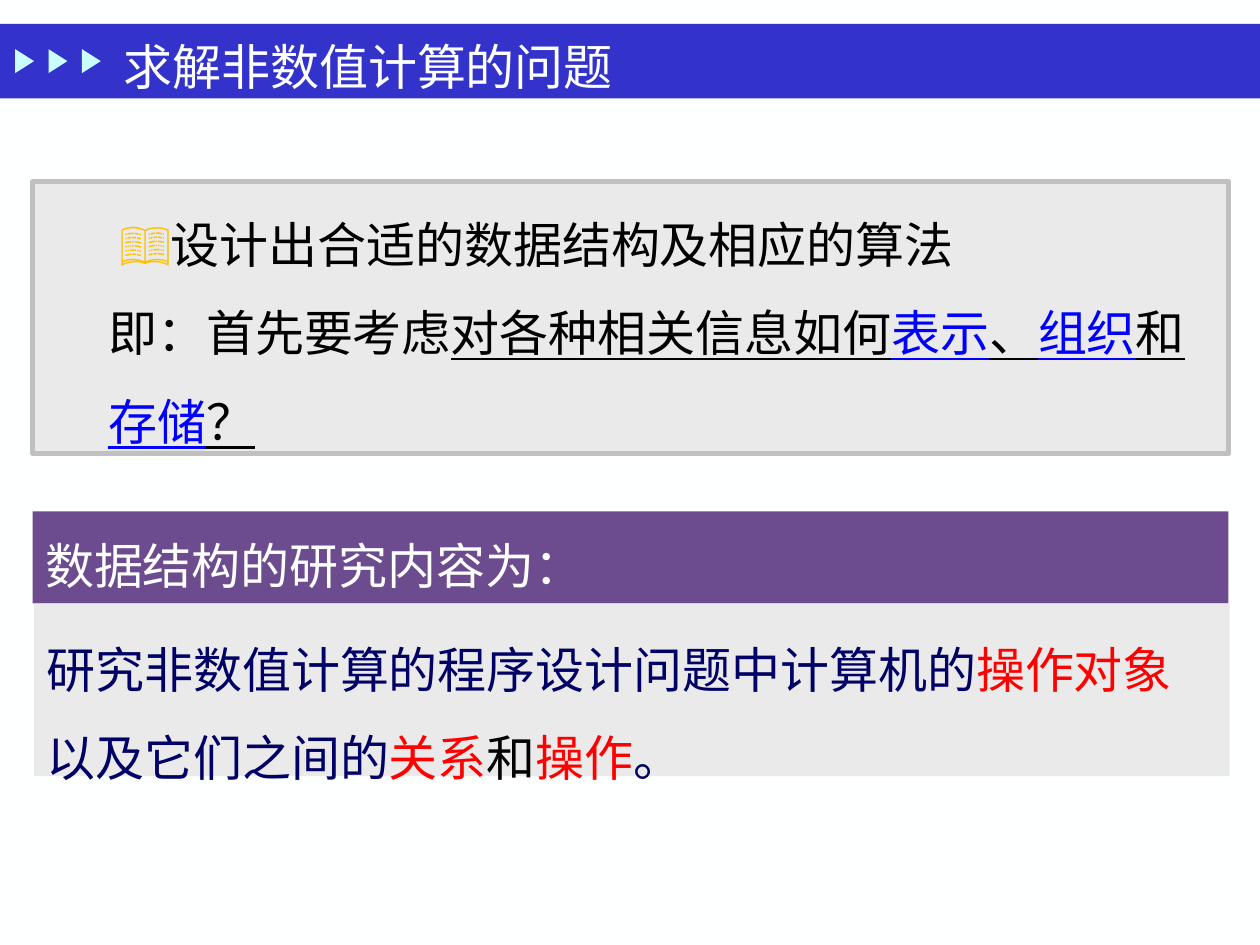
"""Build the slide on solving non-numerical problems with data structures."""
from lxml import etree
from pptx import Presentation
from pptx.dml.color import RGBColor
from pptx.enum.shapes import MSO_SHAPE as SHAPE
from pptx.enum.text import MSO_ANCHOR as ANCHOR, MSO_AUTO_SIZE as AUTO, PP_ALIGN as ALIGN
from pptx.oxml.ns import qn
from pptx.util import Inches, Pt

COLORS = {
    "page": "FEFFFF", "bar": "3333CC", "arrow": "CBFFFF", "panel": "EAEAEA",
    "border": "C0C0C0", "heading": "6C4C8F", "black": "000000", "blue": "0000FF",
    "navy": "000066", "red": "FF0000", "gold": "FFC000",
}


def add_block(kind, left, top, width, height, color):
    block = slide.shapes.add_shape(kind, Inches(left), Inches(top), Inches(width), Inches(height))
    block.shadow.inherit = False
    block.fill.solid()
    block.fill.fore_color.rgb = RGBColor.from_string(COLORS[color])
    block.line.fill.background()
    return block


def write(paragraph, runs, spacing=1.0, margin=0, indent=0, bullet=None):
    properties = paragraph._p.get_or_add_pPr()
    properties.set("marL", str(Inches(margin)))
    properties.set("indent", str(Inches(indent)))
    if bullet:
        bullet_color = etree.SubElement(properties, qn("a:buClr"))
        etree.SubElement(bullet_color, qn("a:srgbClr"), val=COLORS["gold"])
        etree.SubElement(properties, qn("a:buChar"), char=bullet)
    else:
        etree.SubElement(properties, qn("a:buNone"))
    paragraph.alignment = ALIGN.LEFT
    paragraph.line_spacing = spacing
    paragraph.space_before = Pt(0)
    paragraph.font.size = Pt(28)
    paragraph.font.name = "Times New Roman"
    for text, color, underline in runs:
        run = paragraph.add_run()
        run.text = text
        run.font.color.rgb = RGBColor.from_string(COLORS[color])
        if underline:
            run.font.underline = True


deck = Presentation()
deck.slide_width, deck.slide_height = Inches(10), Inches(7.5)
slide = deck.slides.add_slide(deck.slide_layouts[1])
slide.background.fill.solid()
slide.background.fill.fore_color.rgb = RGBColor.from_string(COLORS["page"])

add_block(SHAPE.RECTANGLE, 0, 0.19, 10, 0.59, "bar")
for index in range(3):
    arrow = add_block(SHAPE.ISOSCELES_TRIANGLE, 0.1 + index * 0.265, 0.41, 0.19, 0.15, "arrow")
    arrow.rotation = 90

title, design = slide.placeholders
for placeholder, box in ((title, (0.38, 0.23, 5.5, 0.58)), (design, (0.26, 1.44, 9.49, 2.16))):
    placeholder.left, placeholder.top, placeholder.width, placeholder.height = map(Inches, box)
    placeholder.text_frame.auto_size = AUTO.NONE
    placeholder.text_frame.vertical_anchor = ANCHOR.MIDDLE
    slide.shapes._spTree.append(placeholder._element)

write(title.text_frame.paragraphs[0], [("求解非数值计算的问题", "page", False)], margin=0.5)

design.fill.solid()
design.fill.fore_color.rgb = RGBColor.from_string(COLORS["panel"])
design.line.color.rgb = RGBColor.from_string(COLORS["border"])
design.line.width = Pt(3)
write(design.text_frame.paragraphs[0], [("设计出合适的数据结构及相应的算法", "black", False)],
      spacing=1.5, indent=0.59, bullet="📖")
write(design.text_frame.add_paragraph(), [
    ("即：首先要考虑", "black", False), ("对各种相关信息如何", "black", True),
    ("表示", "blue", True), ("、", "black", True), ("组织", "blue", True),
    ("和", "black", True), ("存储", "blue", True), ("？", "black", True),
], spacing=1.5, margin=0.5)

heading = add_block(SHAPE.RECTANGLE, 0.26, 4.06, 9.49, 0.73, "heading")
heading.text_frame.vertical_anchor = ANCHOR.MIDDLE
write(heading.text_frame.paragraphs[0], [("数据结构的研究内容为：", "page", False)], spacing=1.25)

content = add_block(SHAPE.RECTANGLE, 0.27, 4.79, 9.49, 1.37, "panel")
content.text_frame.vertical_anchor = ANCHOR.TOP
write(content.text_frame.paragraphs[0], [
    ("研究非数值计算的程序设计问题中计算机的", "navy", False), ("操作对象", "red", False),
    ("以及它们之间的", "navy", False), ("关系", "red", False), ("和", "black", False),
    ("操作", "red", False), ("。", "navy", False),
], spacing=1.5)

deck.save("out.pptx")
